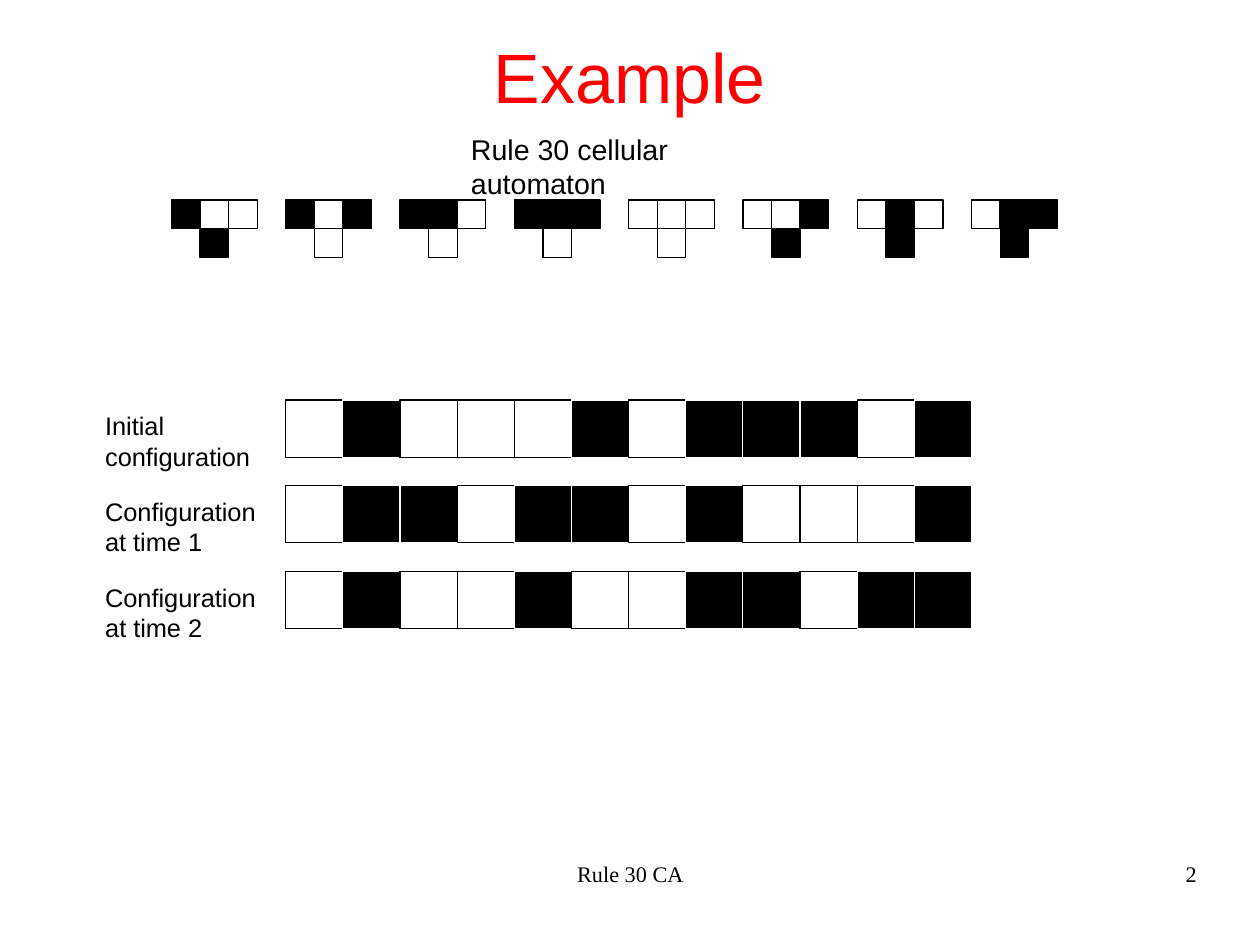
"""Build the Rule 30 cellular automaton example slide."""
import pptx
import pptx.dml.color
import pptx.enum.shapes
import pptx.enum.text
import pptx.util

Inches = pptx.util.Inches
ALIGN = pptx.enum.text.PP_ALIGN
ANCHOR = pptx.enum.text.MSO_ANCHOR
FIT = pptx.enum.text.MSO_AUTO_SIZE

BLACK = pptx.dml.color.RGBColor(0, 0, 0)
WHITE = pptx.dml.color.RGBColor(255, 255, 255)
RED = pptx.dml.color.RGBColor(255, 0, 0)

TITLE = "Example"
SUBTITLE = "Rule 30 cellular automaton"
FOOTER = "Rule 30 CA"
PAGE_NUMBER = "2"
NEIGHBOURHOODS = ["100", "101", "110", "111", "000", "001", "010", "011"]
INITIAL_CELLS = "010001011101"
ROW_LABELS = [
    ("Initial\nconfiguration", 1.53),
    ("Configuration\nat time 1", 1.7),
    ("Configuration\nat time 2", 1.58),
]

CM_PER_INCH = 2.54
SLIDE_WIDTH, SLIDE_HEIGHT = 28 / CM_PER_INCH, 21 / CM_PER_INCH
RULE_LEFT, RULE_TOP, RULE_CELL, RULE_STEP = 1.5, 1.75, 0.25, 1
ROW_LEFT, ROW_TOP, ROW_CELL, ROW_STEP = 2.5, 3.5, 0.5, 0.75
LABEL_LEFT, LABEL_OFFSET = 0.79, 0.01


def rule_30(left, centre, right):
    return str(int(left) ^ (int(centre) | int(right)))


def next_cells(cells):
    return "".join(map(rule_30, cells[-1] + cells[:-1], cells, cells[1:] + cells[0]))


def add_text(slide, text, box, size, font="Arial", color=BLACK, align=ALIGN.LEFT,
             anchor=ANCHOR.TOP, inset=(0, 0), wrap=True, fit=FIT.NONE):
    frame = slide.shapes.add_textbox(*map(Inches, box)).text_frame
    frame.word_wrap = wrap
    frame.auto_size = fit
    frame.vertical_anchor = anchor
    frame.margin_left = frame.margin_right = Inches(inset[0])
    frame.margin_top = frame.margin_bottom = Inches(inset[1])
    frame.text = text
    for paragraph in frame.paragraphs:
        paragraph.alignment = align
        paragraph.font.size = pptx.util.Pt(size)
        paragraph.font.name = font
        paragraph.font.color.rgb = color


def add_cells(slide, cells, left, top, side, black_edge):
    for column, state in enumerate(cells):
        square = slide.shapes.add_shape(
            pptx.enum.shapes.MSO_SHAPE.RECTANGLE,
            Inches(left + column * side), Inches(top), Inches(side), Inches(side))
        square.shadow.inherit = False
        square.fill.solid()
        square.fill.fore_color.rgb = BLACK if state == "1" else WHITE
        square.line.color.rgb = black_edge if state == "1" else BLACK
        square.line.width = pptx.util.Pt(0)


def main():
    deck = pptx.Presentation()
    deck.slide_width, deck.slide_height = Inches(SLIDE_WIDTH), Inches(SLIDE_HEIGHT)
    slide = deck.slides.add_slide(deck.slide_layouts[6])

    add_text(slide, TITLE, (0.55, 0.32, 9.92, 0.69), 44, color=RED,
             align=ALIGN.CENTER, anchor=ANCHOR.MIDDLE, fit=FIT.SHAPE_TO_FIT_TEXT)
    add_text(slide, SUBTITLE, (4, 1.08, 3.21, 0.42), 18, inset=(0.12, 0.07),
             wrap=False, fit=FIT.SHAPE_TO_FIT_TEXT)

    for index, neighbourhood in enumerate(NEIGHBOURHOODS):
        left = RULE_LEFT + index * RULE_STEP
        add_cells(slide, neighbourhood, left, RULE_TOP, RULE_CELL, BLACK)
        add_cells(slide, rule_30(*neighbourhood), left + RULE_CELL,
                  RULE_TOP + RULE_CELL, RULE_CELL, BLACK)

    cells = INITIAL_CELLS
    for time, (label, label_width) in enumerate(ROW_LABELS):
        top = ROW_TOP + time * ROW_STEP
        add_cells(slide, cells, ROW_LEFT, top, ROW_CELL, WHITE)
        add_text(slide, label, (LABEL_LEFT, top + LABEL_OFFSET, label_width, 0.66), 16,
                 inset=(0.13, 0.08), wrap=False, fit=FIT.SHAPE_TO_FIT_TEXT)
        cells = next_cells(cells)

    add_text(slide, FOOTER, (3.77, 7.53, 3.49, 0.57), 14, font="Times New Roman",
             align=ALIGN.CENTER)
    add_text(slide, PAGE_NUMBER, (7.9, 7.53, 2.57, 0.57), 14, font="Times New Roman",
             align=ALIGN.RIGHT)
    deck.save("out.pptx")


if __name__ == "__main__":
    main()
